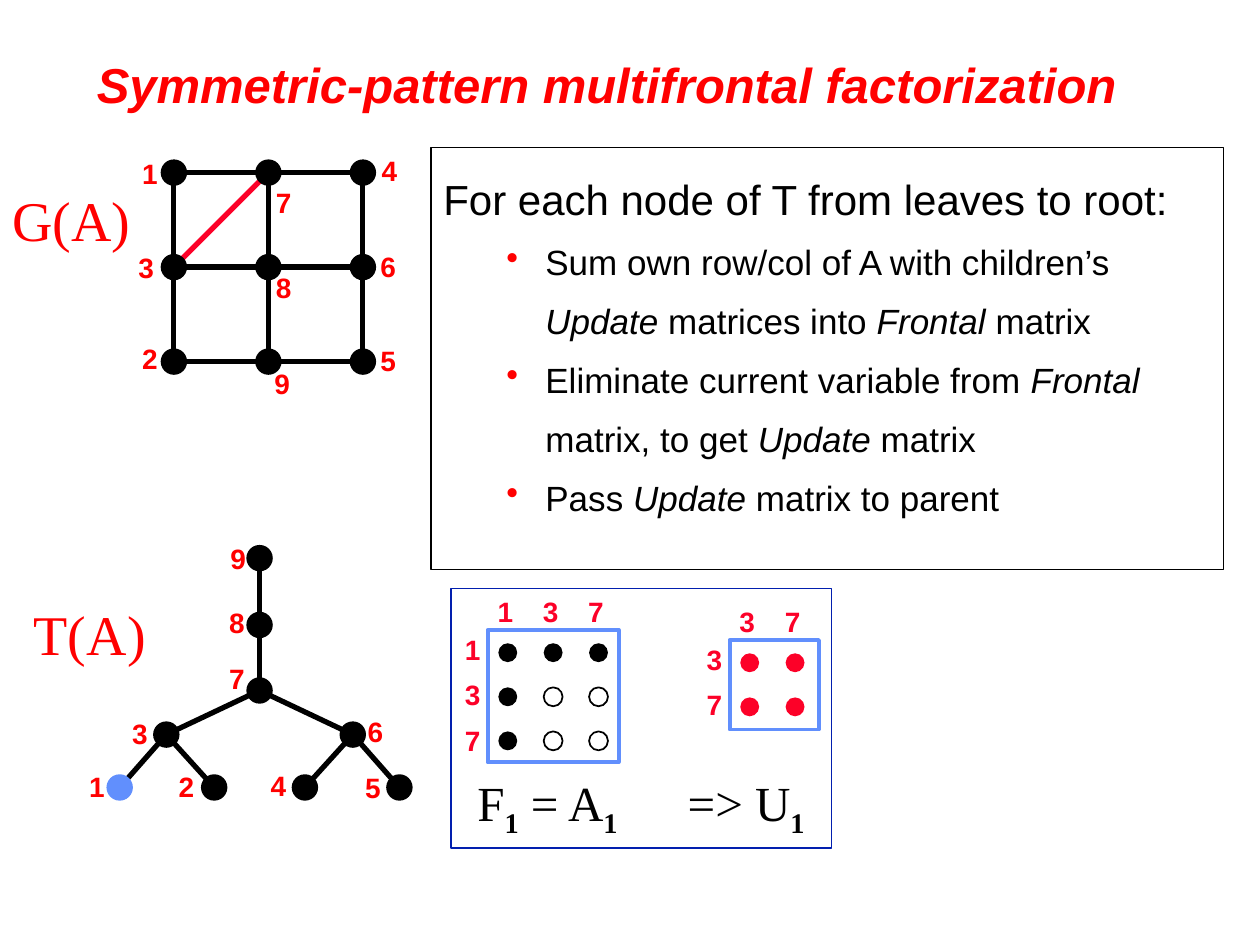
import pptx
import pptx.util
import pptx.dml.color
import pptx.enum.shapes
import pptx.enum.text
import lxml.etree

Inches, Pt = pptx.util.Inches, pptx.util.Pt
RGBColor = pptx.dml.color.RGBColor
KIND = pptx.enum.shapes.MSO_SHAPE
ANCHOR = pptx.enum.text.MSO_ANCHOR
FIT = pptx.enum.text.MSO_AUTO_SIZE

BLACK = RGBColor(0, 0, 0)
RED = RGBColor(0xFF, 0, 0)
ROSE = RGBColor(0xFC, 0x01, 0x28)
SKY = RGBColor(0x61, 0x8F, 0xFD)
NAVY = RGBColor(0x02, 0x1F, 0xAE)

TITLE = "Symmetric-pattern multifrontal factorization"
LEAD = "For each node of T from leaves to root:"
# Each step is a list of (words, italic)
STEPS = [
    [("Sum own row/col of A with children’s ", False), ("Update", True),
     (" matrices into ", False), ("Frontal ", True), ("matrix", False)],
    [("Eliminate current variable from ", False), ("Frontal", True),
     (" matrix, to get ", False), ("Update", True), (" matrix", False)],
    [("Pass ", False), ("Update", True), (" matrix to parent", False)],
]

# Node: (column, row) in the grid, then left and top of its label
GRID = {
    1: (0, 0, 1.03, 1.19), 7: (1, 0, 2.09, 1.42), 4: (2, 0, 2.93, 1.17),
    3: (0, 1, 1.00, 1.94), 8: (1, 1, 2.09, 2.10), 6: (2, 1, 2.92, 1.93),
    2: (0, 2, 1.03, 2.66), 9: (1, 2, 2.08, 2.86), 5: (2, 2, 2.92, 2.68),
}
GRID_X, GRID_Y, GRID_GAP = 1.38, 1.37, 0.75
FILL_IN = (3, 7)
SIDES = [(1, 4), (3, 6), (2, 5), (1, 2), (7, 9), (4, 5)]

# Node: centre x and y, left and top of its label, parent
TREE = {
    9: (2.06, 4.43, 1.73, 4.25, None), 8: (2.06, 4.96, 1.72, 4.76, 9),
    7: (2.06, 5.48, 1.72, 5.20, 8), 3: (1.32, 5.83, 0.95, 5.64, 7),
    6: (2.80, 5.83, 2.82, 5.62, 7), 1: (0.95, 6.25, 0.61, 6.06, 3),
    2: (1.70, 6.25, 1.32, 6.06, 3), 4: (2.42, 6.25, 2.05, 6.05, 6),
    5: (3.17, 6.25, 2.80, 6.07, 6),
}
ACTIVE = 1

# Left, top, width, height, row and column names, dot rows
# (k black, r red, o hollow)
MATS = [
    (3.87, 5.00, 1.04, 1.05, "137", ["kkk", "koo", "koo"]),
    (5.79, 5.08, 0.71, 0.71, "37", ["rr", "rr"]),
]
DOTS = {"k": (BLACK, None), "r": (ROSE, None), "o": (None, BLACK)}

# Left, top, width, (words, is subscript)
SUMS = [
    (3.69, 6.08, 1.33, [("F", False), ("1", True), (" = A", False), ("1", True)]),
    (5.36, 6.08, 1.13, [("=> U", False), ("1", True)]),
]
NAMES = [("G(A)", 0, 1.42, 1.25), ("T(A)", 0.17, 4.71, 1.2)]

HEAD = dict(name="Arial", size=Pt(28), bold=True, italic=True)
TAG = dict(name="Arial", size=Pt(16), bold=True)
NAME = dict(name="Times New Roman", size=Pt(32))
SUM = dict(name="Times New Roman", size=Pt(28))

deck = pptx.Presentation()
deck.slide_width, deck.slide_height = Inches(10), Inches(7.5)
shapes = deck.slides.add_slide(deck.slide_layouts[6]).shapes


def style(font, color, form):
    for key, val in form.items():
        setattr(font, key, val)
    font.color.rgb = color


def frame(x, y, w, h, wrap=False):
    """Add a text box that wraps, or else grows with its text."""
    box = shapes.add_textbox(Inches(x), Inches(y), Inches(w), Inches(h))
    box.text_frame.auto_size = FIT.NONE if wrap else FIT.SHAPE_TO_FIT_TEXT
    box.text_frame.word_wrap = wrap
    return box


def write(par, words, color, form):
    run = par.add_run()
    run.text = words
    style(run.font, color, form)
    return run


def label(words, x, y, color=RED, form=TAG, w=0.32, h=0.37, wrap=False):
    box = frame(x, y, w, h, wrap)
    write(box.text_frame.paragraphs[0], words, color, form)
    return box


def draw(kind, x, y, w, h, fill=None, edge=None, width=1):
    form = shapes.add_shape(kind, Inches(x), Inches(y), Inches(w), Inches(h))
    form.shadow.inherit = False
    for part, color in ((form.fill, fill), (form.line.fill, edge)):
        if color is None:
            part.background()
        else:
            part.solid()
            part.fore_color.rgb = color
    if edge is not None:
        form.line.width = Pt(width)


def disc(x, y, size, fill, edge=None):
    """Draw a circle around the centre x, y."""
    draw(KIND.OVAL, x - size / 2, y - size / 2, size, size, fill, edge)


def link(start, end, color=BLACK):
    line = shapes.add_connector(pptx.enum.shapes.MSO_CONNECTOR.STRAIGHT,
                                *map(Inches, (*start, *end)))
    line.line.color.rgb, line.line.width = color, Pt(3)
    props = line._element.spPr
    lxml.etree.SubElement(props, pptx.oxml.ns.qn("a:effectLst"))


def graph(spots, edges, marks, odd=None):
    """Draw edges, then nodes, then their labels."""
    for a, b, color in edges:
        link(spots[a], spots[b], color)
    for key, (x, y) in spots.items():
        disc(x, y, 0.21, SKY if key == odd else BLACK)
    for key, (x, y) in marks.items():
        label(str(key), x, y)


def indent(par, left, hang, bullet=False):
    props = par._p.get_or_add_pPr()
    props.set("marL", str(Inches(left)))
    props.set("indent", str(Inches(-hang)))
    par.line_spacing = 1.4
    if bullet:
        color = lxml.etree.SubElement(props, pptx.oxml.ns.qn("a:buClr"))
        lxml.etree.SubElement(color, pptx.oxml.ns.qn("a:srgbClr"), val=str(RED))
        lxml.etree.SubElement(props, pptx.oxml.ns.qn("a:buChar"), char="•")


title = label(TITLE, 0.67, 0.33, RED, HEAD, 8.75, 0.67, True)
title.text_frame.vertical_anchor = ANCHOR.MIDDLE

spots = {k: (GRID_X + GRID_GAP * c, GRID_Y + GRID_GAP * r)
         for k, (c, r, _, _) in GRID.items()}
edges = [(*FILL_IN, ROSE)] + [(a, b, BLACK) for a, b in SIDES]
graph(spots, edges, {k: v[2:] for k, v in GRID.items()})

edges = [(k, v[4], BLACK) for k, v in TREE.items() if v[4]]
graph({k: v[:2] for k, v in TREE.items()}, edges,
      {k: v[2:4] for k, v in TREE.items()}, ACTIVE)

for words, x, y, w in NAMES:
    label(words, x, y, RED, NAME, w, 0.64)

draw(KIND.RECTANGLE, 3.58, 4.67, 3.02, 2.06, edge=NAVY)
for x, y, w, h, names, rows in MATS:
    for r, row in enumerate(rows):
        for c, dot in enumerate(row):
            disc(x + 0.16 + 0.36 * c, y + 0.18 + 0.35 * r, 0.15, *DOTS[dot])
    draw(KIND.RECTANGLE, x, y, w, h, edge=SKY, width=2.25)
    for i, name in enumerate(names):
        label(name, x - 0.02 + 0.36 * i, y - 0.33, ROSE)
        label(name, x - 0.28, y - 0.03 + 0.36 * i, ROSE)

for x, y, w, parts in SUMS:
    par = frame(x, y, w, 0.63).text_frame.paragraphs[0]
    for words, sub in parts:
        run = write(par, words, BLACK, {**SUM, "bold": sub})
        if sub:
            run._r.get_or_add_rPr().set("baseline", "-25000")

body = frame(3.42, 1.17, 6.29, 3.35, True)
body.line.color.rgb, body.line.width = BLACK, Pt(1)
text = body.text_frame
indent(text.paragraphs[0], 0.38, 0.38)
write(text.paragraphs[0], LEAD, BLACK, dict(name="Arial", size=Pt(24)))
for step in STEPS:
    par = text.add_paragraph()
    par.level = 1
    indent(par, 0.81, 0.31, True)
    for words, slant in step:
        write(par, words, BLACK, dict(name="Arial", size=Pt(20), italic=slant))

deck.save("out.pptx")
